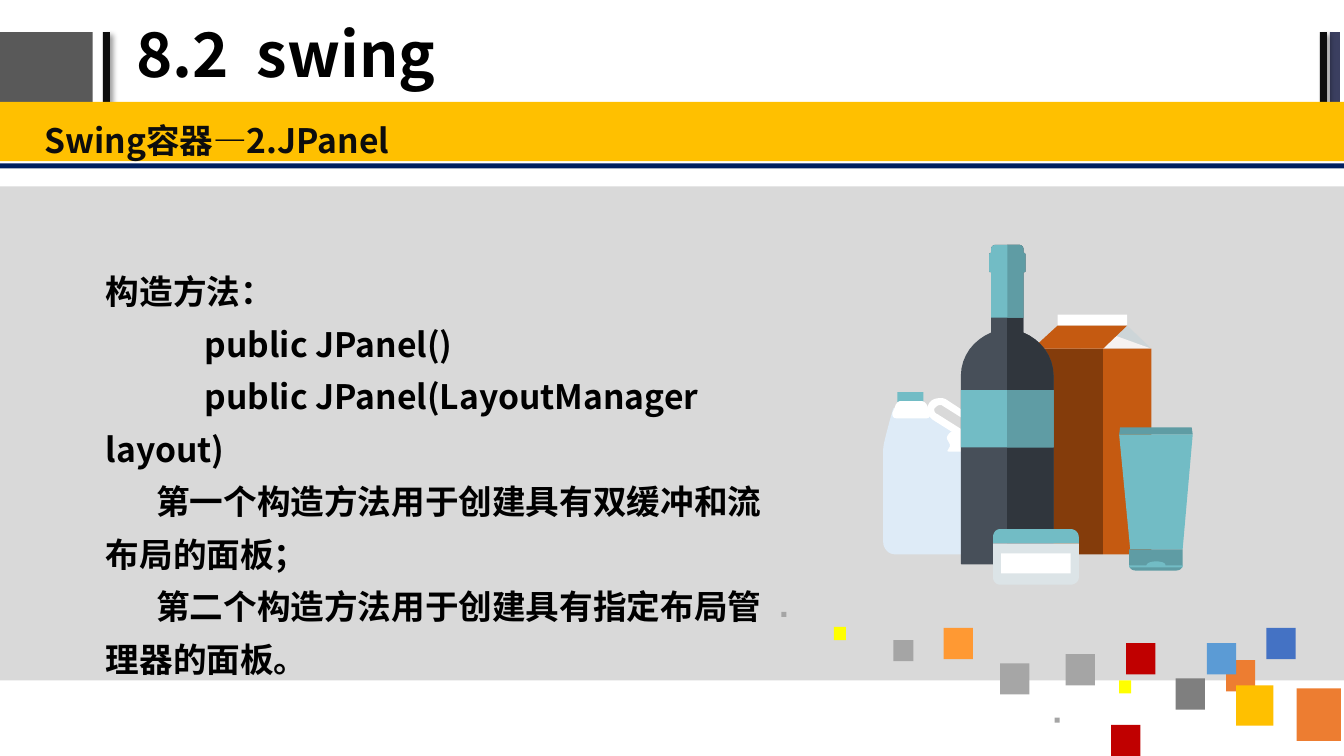
from lxml import etree
from pptx import Presentation
from pptx import util as u
from pptx.dml.color import RGBColor
from pptx.enum import shapes, text
from pptx.oxml import ns

FONT = "Noto Sans CJK SC"
BLACK, INK, WHITE = RGBColor(0, 0, 0), RGBColor(13, 13, 13), RGBColor(255, 255, 255)
CHARCOAL, INDIGO, NAVY = RGBColor(89, 89, 89), RGBColor(59, 63, 96), RGBColor(0, 32, 96)
PALE, GOLD, YELLOW = RGBColor(217, 217, 217), RGBColor(255, 192, 0), RGBColor(255, 255, 0)
ORANGE, AMBER, RED = RGBColor(237, 125, 49), RGBColor(255, 153, 51), RGBColor(192, 0, 0)
SKY, BLUE = RGBColor(91, 155, 213), RGBColor(68, 114, 196)
GRAY, MID_GRAY, DARK_GRAY = RGBColor(165, 165, 165), RGBColor(166, 166, 166), RGBColor(127, 127, 127)
TEAL, DEEP_TEAL = RGBColor(114, 188, 197), RGBColor(95, 156, 164)
MILK, SILVER, IVORY = RGBColor(222, 235, 247), RGBColor(205, 213, 216), RGBColor(246, 242, 241)
RUST, BROWN = RGBColor(197, 90, 17), RGBColor(132, 60, 11)
GLASS, DARK_GLASS, JAR = RGBColor(71, 79, 89), RGBColor(48, 54, 61), RGBColor(220, 228, 231)

# Text: (first-line indent, words)
TITLE = "8.2  swing"
SUBTITLE = [(0, "Swing容器—2.JPanel")]
BODY = [
    (0, "构造方法："),
    (0.98, "public JPanel()"),
    (0.98, "public JPanel(LayoutManager layout)"),
    (0.5, "第一个构造方法用于创建具有双缓冲和流布局的面板；"),
    (0.5, "第二个构造方法用于创建具有指定布局管理器的面板。"),
]

# Boxes: (colour, (left, top, width, height))
HEADER = [(CHARCOAL, (-0.02, 0.32, 0.94, 0.76)), (INDIGO, (13.19, 0.32, 0.1, 0.76))]
SHADED_BARS = [(INK, (1.02, 0.32, 0.07, 0.76)), (INK, (13.09, 0.32, 0.07, 0.76))]
BANDS = [
    (PALE, (0, 1.85, 13.33, 4.9)),
    (NAVY, (0, 1.62, 13.33, 0.05)),
    (GOLD, (-0.04, 1.01, 13.4, 0.59)),
]

# Confetti: size name -> (width, height), then (colour, size, left, top)
SIZES = {"xs": (0.05, 0.05), "s": (0.12, 0.13), "m": (0.2, 0.21),
         "l": (0.29, 0.31), "xl": (0.37, 0.4), "xxl": (0.44, 0.52)}
CONFETTI = [
    (ORANGE, "xxl", 12.86, 6.83), (ORANGE, "l", 12.16, 6.55), (GOLD, "xl", 12.26, 6.8),
    (SKY, "l", 11.97, 6.38), (GRAY, "xs", 10.46, 7.12), (BLUE, "l", 12.56, 6.23),
    (YELLOW, "s", 11.1, 6.75), (GRAY, "l", 10.57, 6.49), (RED, "l", 11.17, 6.38),
    (DARK_GRAY, "l", 11.66, 6.73), (RED, "l", 11.02, 7.19), (GRAY, "xs", 7.75, 6.07),
    (YELLOW, "s", 8.27, 6.22), (GRAY, "m", 8.86, 6.35), (AMBER, "l", 9.36, 6.23),
    (MID_GRAY, "l", 9.92, 6.58),
]


def flatten(outline, steps=8):
    """Turn points and six-number Bezier curves into plain points."""
    pts = [outline[0]]
    for seg in outline[1:]:
        if len(seg) == 2:
            pts.append(seg)
            continue
        ctrl = [pts[-1], seg[:2], seg[2:4], seg[4:]]
        for i in range(1, steps + 1):
            t = i / steps
            weights = ((1 - t) ** 3, 3 * t * (1 - t) ** 2, 3 * t * t * (1 - t), t ** 3)
            pts.append(tuple(sum(w * c[k] for w, c in zip(weights, ctrl)) for k in (0, 1)))
    return pts


def symmetric(half, axis):
    pts = flatten(half)
    return pts + [(2 * axis - x, y) for x, y in reversed(pts)]


# Container outlines: a two-number entry is a corner, a six-number one a curve
AXIS = 9.99
CAP_TOP = [(AXIS, 2.43), (10.11, 2.43), (10.13, 2.43, 10.15, 2.45, 10.15, 2.47), (10.15, 2.51),
           (10.16, 2.51, 10.17, 2.51, 10.17, 2.53), (10.17, 2.69),
           (10.17, 2.7, 10.16, 2.7, 10.15, 2.7)]
CAP_HALF = CAP_TOP + [(10.15, 3.15), (AXIS, 3.15)]
BOTTLE_HALF = CAP_TOP + [(10.15, 3.3), (10.32, 3.37, 10.45, 3.53, 10.45, 3.73), (10.45, 5.59),
                         (10.45, 5.6, 10.44, 5.6, 10.43, 5.6), (AXIS, 5.6)]
JUG = [(9.75, 4.45), (9.75, 4.39, 9.7, 4.33, 9.63, 4.33), (9.22, 4.1), (8.86, 4.05),
       (8.86, 4.05, 8.76, 4.39, 8.76, 4.45), (8.76, 5.38), (8.76, 5.44, 8.81, 5.5, 8.88, 5.5),
       (9.63, 5.5), (9.7, 5.5, 9.75, 5.44, 9.75, 5.38)]
HANDLE = [(9.59, 4.36), (9.57, 4.36, 9.55, 4.35, 9.53, 4.34), (9.26, 4.17),
          (9.21, 4.14, 9.18, 4.07, 9.21, 4.01), (9.23, 3.97, 9.27, 3.95, 9.32, 3.95),
          (9.34, 3.95, 9.36, 3.95, 9.38, 3.96), (9.64, 4.13),
          (9.71, 4.16, 9.73, 4.23, 9.7, 4.29), (9.67, 4.33, 9.63, 4.36, 9.59, 4.36)]
HANDLE_HOLE = [(9.32, 4.02), (9.3, 4.02, 9.29, 4.03, 9.27, 4.05),
               (9.26, 4.07, 9.27, 4.1, 9.3, 4.11), (9.57, 4.28),
               (9.57, 4.28, 9.58, 4.28, 9.59, 4.28), (9.61, 4.28, 9.63, 4.27, 9.63, 4.25),
               (9.64, 4.24, 9.64, 4.2, 9.61, 4.19), (9.34, 4.02)]
JUG_NECK = [(9.22, 4.1), (9.23, 4.13, 9.22, 4.15, 9.19, 4.15), (8.89, 4.15),
            (8.86, 4.15, 8.85, 4.13, 8.85, 4.1), (8.86, 4.08, 8.87, 4.05, 8.88, 4.03),
            (8.88, 4.01, 8.91, 3.98, 8.93, 3.98), (9.14, 3.98),
            (9.17, 3.98, 9.19, 4.01, 9.2, 4.03), (9.2, 4.05, 9.22, 4.08, 9.22, 4.1)]
HANDLE_FOOT = [(9.74, 4.43), (9.76, 4.46, 9.74, 4.48, 9.71, 4.48), (9.41, 4.48),
               (9.38, 4.48, 9.41, 4.46, 9.42, 4.43), (9.43, 4.4, 9.39, 4.37, 9.39, 4.34),
               (9.4, 4.31, 9.43, 4.28, 9.45, 4.28), (9.67, 4.28),
               (9.69, 4.28, 9.71, 4.31, 9.73, 4.34), (9.73, 4.37, 9.74, 4.4, 9.74, 4.43)]
TUBE_BASE = [(11.2, 5.45), (11.2, 5.6), (11.2, 5.64, 11.23, 5.66, 11.26, 5.66), (11.67, 5.66),
             (11.7, 5.66, 11.73, 5.64, 11.73, 5.6), (11.73, 5.45)]
TUBE_STRIPE = [(11.2, 5.63), (11.73, 5.63), (11.73, 5.61), (11.56, 5.61),
               (11.56, 5.58, 11.51, 5.57, 11.47, 5.57), (11.42, 5.57, 11.38, 5.58, 11.37, 5.61),
               (11.2, 5.61)]
JAR_LID = [(10.7, 5.39), (10.7, 5.33), (10.7, 5.28, 10.66, 5.25, 10.62, 5.25), (9.92, 5.25),
           (9.88, 5.25, 9.85, 5.28, 9.85, 5.33), (9.85, 5.39)]
JAR_BODY = [(9.85, 5.39), (9.85, 5.73), (9.85, 5.77, 9.88, 5.8, 9.92, 5.8), (10.62, 5.8),
            (10.66, 5.8, 10.7, 5.77, 10.7, 5.73), (10.7, 5.39)]

# Containers back to front: a tuple is a box, a list holds outlines
CONTAINERS = [
    (MILK, [JUG]), (TEAL, (8.9, 3.89, 0.26, 0.1)), (WHITE, [HANDLE, HANDLE_HOLE]),
    (WHITE, [JUG_NECK]), (WHITE, [HANDLE_FOOT]),
    (SILVER, [[(10.49, 3.23), (11.18, 3.23), (11.42, 3.46), (10.73, 3.46)]]),
    (IVORY, [[(10.49, 3.37), (11.06, 3.33), (11.42, 3.46), (10.73, 3.46)]]),
    (RUST, (10.94, 3.46, 0.48, 2.04)), (BROWN, (10.24, 3.46, 0.7, 2.04)),
    (WHITE, (10.49, 3.12, 0.69, 0.11)),
    (RUST, [[(11.18, 3.23), (10.49, 3.23), (10.24, 3.46), (10.94, 3.46)]]),
    (GLASS, [symmetric(BOTTLE_HALF, AXIS)]), (DARK_GLASS, [BOTTLE_HALF]),
    (TEAL, [symmetric(CAP_HALF, AXIS)]), (DEEP_TEAL, [CAP_HALF]),
    (TEAL, (9.53, 3.87, 0.92, 0.57)), (DEEP_TEAL, (9.99, 3.87, 0.46, 0.57)),
    (TEAL, [[(11.73, 5.45), (11.21, 5.45), (11.1, 4.31), (11.83, 4.31)]]),
    (DEEP_TEAL, [[(11.1, 4.31), (11.83, 4.31), (11.82, 4.24), (11.11, 4.24)]]),
    (DEEP_TEAL, [TUBE_BASE]), (TEAL, [TUBE_STRIPE]),
    (TEAL, [JAR_LID]), (JAR, [JAR_BODY]), (WHITE, (9.93, 5.49, 0.69, 0.2)),
]


def add_part(tree, color, form):
    if isinstance(form, tuple):
        sp = tree.add_shape(shapes.MSO_SHAPE.RECTANGLE, *map(u.Inches, form))
    else:
        rings = [[(x * 1000, y * 1000) for x, y in flatten(ring)] for ring in form]
        builder = tree.build_freeform(*rings[0][0], scale=u.Inches(1) / 1000)
        for i, ring in enumerate(rings):
            if i:
                builder.move_to(*ring[0])
            builder.add_line_segments(ring[1:], close=True)
        sp = builder.convert_to_shape()
    sp.fill.solid()
    sp.fill.fore_color.rgb = color
    sp.line.fill.background()
    sp.shadow.inherit = False
    return sp


def add_shadow(sp):
    effects = sp._element.spPr.find(ns.qn("a:effectLst"))
    shadow = etree.SubElement(effects, ns.qn("a:outerShdw"), blurRad=str(u.Pt(4)),
                              dist=str(u.Pt(3)), dir="2700000", algn="tl", rotWithShape="0")
    color = etree.SubElement(shadow, ns.qn("a:srgbClr"), val="000000")
    etree.SubElement(color, ns.qn("a:alpha"), val="40000")


def write(p, words, size, color):
    r = p.add_run()
    r.text = words
    for name, value in {"size": u.Pt(size), "bold": True, "name": FONT}.items():
        setattr(r.font, name, value)
    r.font.color.rgb = color
    etree.SubElement(r._r.get_or_add_rPr(), ns.qn("a:ea"), typeface=FONT)


def add_text(s, box, lines, color, spacing):
    tf = s.shapes.add_textbox(*map(u.Inches, box)).text_frame
    frame = {"word_wrap": True, "auto_size": text.MSO_AUTO_SIZE.SHAPE_TO_FIT_TEXT,
             "margin_left": u.Inches(0.13), "margin_right": u.Inches(0.13),
             "margin_top": u.Inches(0.07), "margin_bottom": u.Inches(0.07)}
    for name, value in frame.items():
        setattr(tf, name, value)
    for i, (indent, words) in enumerate(lines):
        p = tf.add_paragraph() if i else tf.paragraphs[0]
        p.line_spacing = u.Pt(spacing)
        p._p.get_or_add_pPr().set("indent", str(u.Inches(indent)))
        write(p, words, 24, color)


def main():
    prs = Presentation()
    prs.slide_width, prs.slide_height = u.Inches(13.33), u.Inches(7.5)
    s = prs.slides.add_slide(prs.slide_layouts[5])

    # Header and bands
    for color, box in HEADER:
        add_part(s.shapes, color, box)
    for color, box in SHADED_BARS:
        add_shadow(add_part(s.shapes, color, box))
    for color, box in BANDS:
        add_part(s.shapes, color, box)

    # Title
    title = s.shapes.title
    for name, value in zip(("left", "top", "width", "height"), (1.25, 0.02, 8.47, 1.1)):
        setattr(title, name, u.Inches(value))
    title.text_frame.vertical_anchor = text.MSO_ANCHOR.MIDDLE
    p = title.text_frame.paragraphs[0]
    p.alignment, p.line_spacing = text.PP_ALIGN.LEFT, 0.9
    write(p, TITLE, 44, BLACK)

    # Subtitle, confetti, body, containers
    add_text(s, (0.31, 1.02, 13.06, 0.58), SUBTITLE, INK, 36)
    confetti = s.shapes.add_group_shape()
    for color, size, left, top in CONFETTI:
        add_part(confetti.shapes, color, (left, top, *SIZES[size]))
    add_text(s, (0.92, 2.5, 7.08, 3.75), BODY, BLACK, 37.5)
    containers = s.shapes.add_group_shape()
    for color, form in CONTAINERS:
        add_part(containers.shapes, color, form)

    prs.save("out.pptx")


if __name__ == "__main__":
    main()
